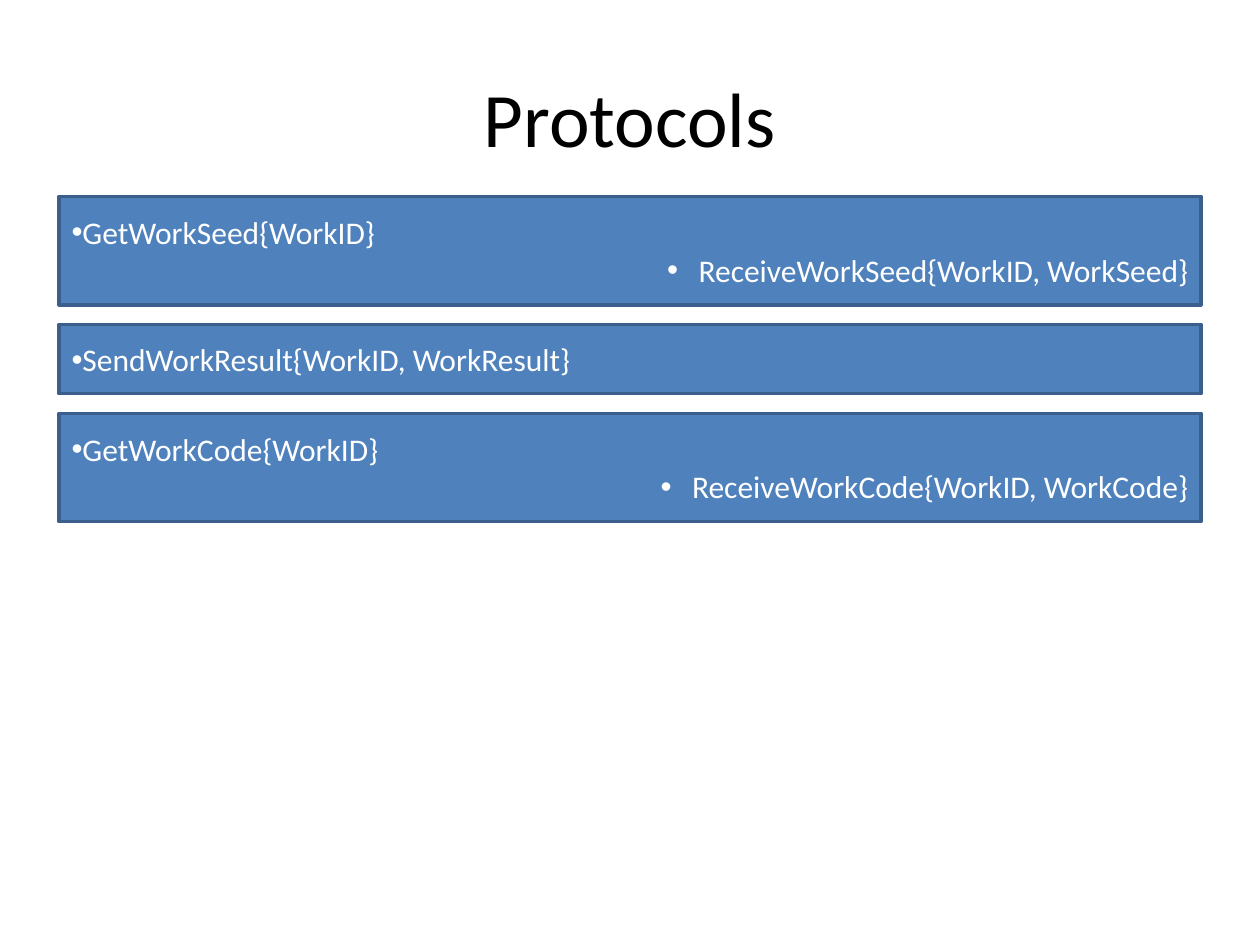
import pptx
import pptx.dml.color
import pptx.enum.shapes
import pptx.enum.text
import pptx.oxml
import pptx.oxml.ns
import pptx.util

Pt = pptx.util.Pt
ALIGN = pptx.enum.text.PP_ALIGN
MIDDLE = pptx.enum.text.MSO_ANCHOR.MIDDLE
FONT = "Calibri"
LEFT, TOP, WIDTH, GAP = 33.8, 112.3, 652.4, 11.2
LINE_HEIGHT, PADDING = 22.3, 17.3
REPLY_INDENT = 18

EXCHANGES = [
    ["GetWorkSeed{WorkID}", "ReceiveWorkSeed{WorkID, WorkSeed}"],
    ["SendWorkResult{WorkID, WorkResult}"],
    ["GetWorkCode{WorkID}", "ReceiveWorkCode{WorkID, WorkCode}"],
]


def color(value):
    return pptx.dml.color.RGBColor.from_string(value)


def format_paragraph(p, size, value, align):
    p.alignment = align
    p.font.name = FONT
    p.font.size = Pt(size)
    p.font.color.rgb = color(value)


def add_bullet(p, indent):
    pPr = p._p.get_or_add_pPr()
    pPr.set("marL", str(Pt(indent)))
    pPr.set("indent", str(-Pt(indent)))
    ns = pptx.oxml.ns.nsdecls("a")
    bullet = [
        pptx.oxml.parse_xml(f'<a:buFont {ns} typeface="Arial"/>'),
        pptx.oxml.parse_xml(f'<a:buChar {ns} char="•"/>'),
    ]
    for position, element in enumerate(bullet):
        pPr.insert(position, element)


def set_title(s, text):
    sp = s.shapes.title
    sp.left, sp.top, sp.width, sp.height = Pt(36), Pt(21.6), Pt(648), Pt(90)
    tf = sp.text_frame
    tf.text = text
    tf.vertical_anchor = MIDDLE
    format_paragraph(tf.paragraphs[0], 44, "000000", ALIGN.CENTER)


def add_exchange(s, top, height, messages):
    sp = s.shapes.add_shape(
        pptx.enum.shapes.MSO_SHAPE.RECTANGLE,
        Pt(LEFT), Pt(top), Pt(WIDTH), Pt(height),
    )
    sp.shadow.inherit = False
    sp.fill.solid()
    sp.fill.fore_color.rgb = color("4F81BD")
    sp.line.color.rgb = color("3A5F8C")
    sp.line.width = Pt(2)
    tf = sp.text_frame
    tf.word_wrap = True
    tf.vertical_anchor = MIDDLE
    tf.text = "\n".join(messages)
    for i, p in enumerate(tf.paragraphs):
        format_paragraph(p, 18, "FFFFFF", ALIGN.RIGHT if i else ALIGN.LEFT)
        add_bullet(p, REPLY_INDENT if i else 0)


def main():
    prs = pptx.Presentation()
    prs.slide_width, prs.slide_height = Pt(720), Pt(540)
    s = prs.slides.add_slide(prs.slide_layouts[5])
    set_title(s, "Protocols")
    top = TOP
    for messages in EXCHANGES:
        height = PADDING + LINE_HEIGHT * len(messages)
        add_exchange(s, top, height, messages)
        top += height + GAP
    prs.save("out.pptx")


if __name__ == "__main__":
    main()
